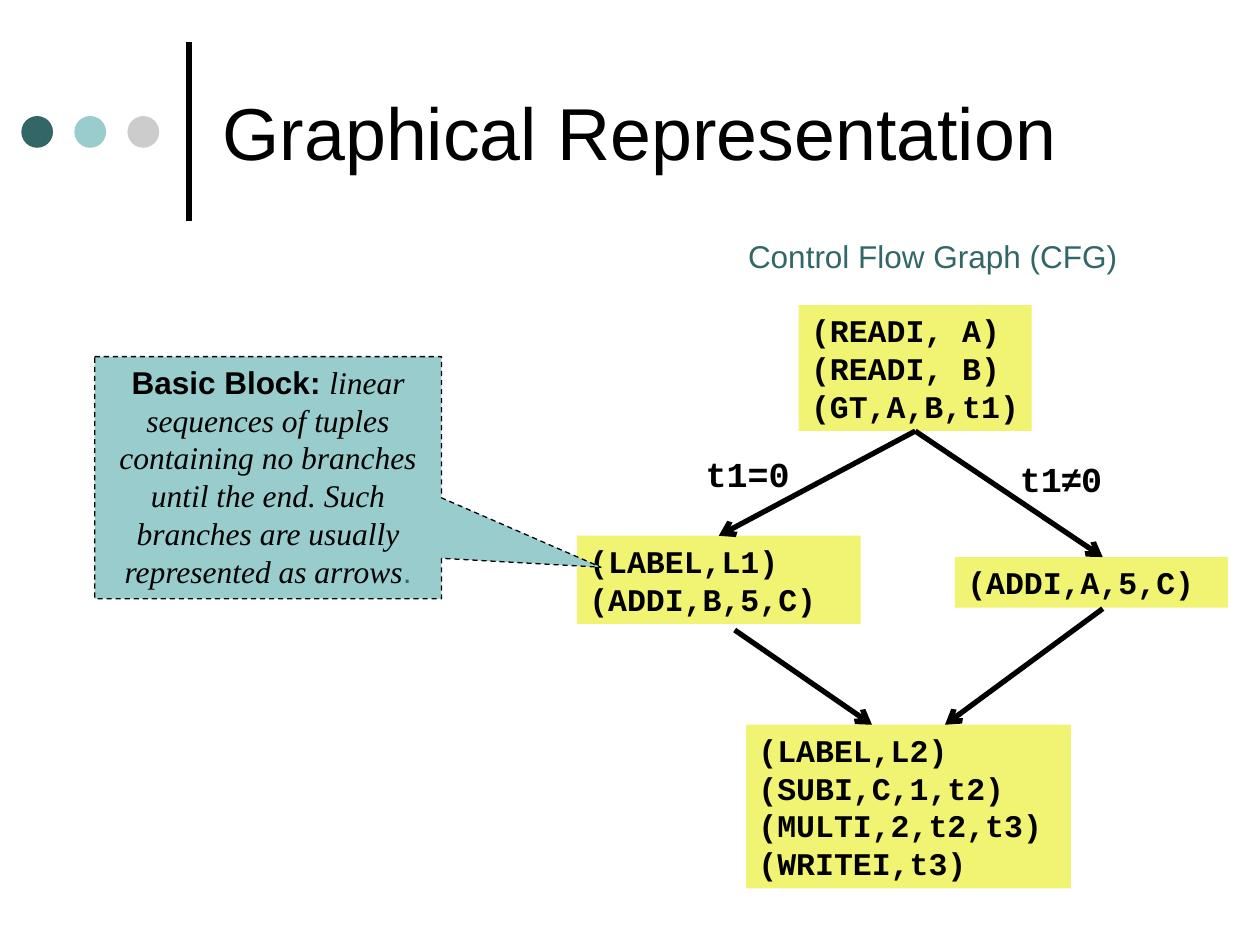
from lxml import etree
from pptx import Presentation
from pptx.dml.color import RGBColor
from pptx.enum.dml import MSO_LINE
from pptx.enum.shapes import MSO_CONNECTOR, MSO_SHAPE
from pptx.enum.text import MSO_ANCHOR, PP_ALIGN
from pptx.oxml.ns import qn
from pptx.util import Cm, Pt

LEFT, CENTER = PP_ALIGN.LEFT, PP_ALIGN.CENTER
TOP, MIDDLE = MSO_ANCHOR.TOP, MSO_ANCHOR.MIDDLE
RECTANGLE, OVAL = MSO_SHAPE.RECTANGLE, MSO_SHAPE.OVAL
CALLOUT = MSO_SHAPE.RECTANGULAR_CALLOUT
STRAIGHT = MSO_CONNECTOR.STRAIGHT
DASH = MSO_LINE.DASH
TOP_SIDE, BOTTOM_SIDE = 0, 2

BLACK, TEAL, AQUA, GREY, YELLOW = "000000", "336666", "99CCCC", "CCCCCC", "F1F472"
SANS, SERIF, MONO = "Arial", "Times New Roman", "Courier New"


def color(hex_string):
    return RGBColor.from_string(hex_string)


def span(text, size=18, font=SANS, ink=BLACK, bold=False, italic=False):
    """Bundle a piece of text with its format."""
    return text, size, font, ink, bold, italic


def lengths(values):
    return [Cm(value) for value in values]


class Diagram:
    """Holds the style and the current page."""

    def __init__(self, page):
        self.page = page
        self.stroke = 3

    def add_text(self, shape, paragraphs, align=LEFT, anchor=TOP, wrap=True):
        """Fill a shape with paragraphs, each a list of spans."""
        frame = shape.text_frame
        frame.word_wrap = wrap
        frame.vertical_anchor = anchor
        for index, spans in enumerate(paragraphs):
            para = frame.add_paragraph() if index else frame.paragraphs[0]
            para.alignment = align
            for text, size, font, ink, bold, italic in spans:
                run = para.add_run()
                run.text = text
                run.font.size = Pt(size)
                run.font.name = font
                run.font.color.rgb = color(ink)
                run.font.bold = bold
                run.font.italic = italic

    def text(self, place, spans, **layout):
        box = self.page.shapes.add_textbox(*lengths(place))
        self.add_text(box, [spans], **layout)

    def shape(self, kind, place, fill):
        shape = self.page.shapes.add_shape(kind, *lengths(place))
        shape.shadow.inherit = False
        shape.fill.solid()
        shape.fill.fore_color.rgb = color(fill)
        shape.line.fill.background()
        return shape

    def block(self, place, *code):
        box = self.shape(RECTANGLE, place, YELLOW)
        self.add_text(box, [[span(line, font=MONO, bold=True)] for line in code])
        return box

    def callout(self, place, tip, spans):
        box = self.shape(CALLOUT, place, AQUA)
        for index, offset in enumerate(tip):
            box.adjustments[index] = offset
        box.line.color.rgb = color(BLACK)
        box.line.width = Pt(0.75)
        box.line.dash_style = DASH
        self.add_text(box, [spans], align=CENTER)

    def line(self, start, end):
        line = self.page.shapes.add_connector(STRAIGHT, *lengths(start + end))
        line.line.color.rgb = color(BLACK)
        line.line.width = Pt(self.stroke)
        etree.SubElement(line._element.spPr, qn("a:effectLst"))
        return line

    def arrow(self, start, end, source=None, target=None):
        """Draw an arrow, joined to the source's bottom and the target's top if given."""
        arrow = self.line(start, end)
        outline = arrow._element.spPr.find(qn("a:ln"))
        etree.SubElement(outline, qn("a:tailEnd"), type="arrow")
        if source is not None:
            arrow.begin_connect(source, BOTTOM_SIDE)
        if target is not None:
            arrow.end_connect(target, TOP_SIDE)


def main():
    deck = Presentation()
    deck.slide_width, deck.slide_height = Cm(25.4), Cm(19.05)
    diagram = Diagram(deck.slides.add_slide(deck.slide_layouts[6]))

    diagram.line((3.81, 4.45), (3.81, 0.84))
    for index, fill in enumerate((TEAL, AQUA, GREY)):
        diagram.shape(OVAL, (0.43 + 1.07 * index, 2.34, 0.64, 0.64), fill)
    diagram.text((4.24, 0.53, 19.48, 4.24),
                 [span("Graphical Representation", size=42)], anchor=MIDDLE)
    diagram.text((14.83, 4.65, 7.95, 1.02),
                 [span("Control Flow Graph (CFG)", ink=TEAL)], wrap=False)

    entry = diagram.block((16.1, 6.15, 4.7, 2.54),
                          "(READI, A)", "(READI, B)", "(GT,A,B,t1)")
    diagram.block((19.25, 11.23, 5.51, 1.02), "(ADDI,A,5,C)")
    diagram.block((15.04, 14.61, 6.55, 3.3),
                  "(LABEL,L2)", "(SUBI,C,1,t2)", "(MULTI,2,t2,t3)", "(WRITEI,t3)")
    label_block = diagram.block((11.63, 10.8, 5.72, 1.78), "(LABEL,L1)", "(ADDI,B,5,C)")

    fork = (18.42, 8.69)
    diagram.arrow((22.23, 12.27), (19.05, 14.61))
    diagram.arrow((14.81, 12.7), (17.58, 14.61))
    diagram.arrow(fork, (22.23, 11.23), source=entry)
    diagram.arrow(fork, (14.61, 10.8), source=entry, target=label_block)

    condition = {"size": 20, "bold": True}
    diagram.text((13.97, 8.99, 2.21, 1.12),
                 [span("t1=0", font=MONO, **condition)], align=CENTER, wrap=False)
    diagram.text((20.22, 9.09, 2.34, 1.12),
                 [span("t1", font=MONO, **condition), span("≠", **condition),
                  span("0", font=MONO, **condition)], align=CENTER, wrap=False)

    diagram.callout((1.91, 7.19, 6.99, 4.88), (0.96, 0.37), [
        span("Basic Block: ", bold=True),
        span("linear sequences of tuples containing no branches until the end. "
             "Such branches are usually represented as arrows", font=SERIF, italic=True),
        span(".", ink=TEAL)])

    deck.save("out.pptx")


if __name__ == "__main__":
    main()
